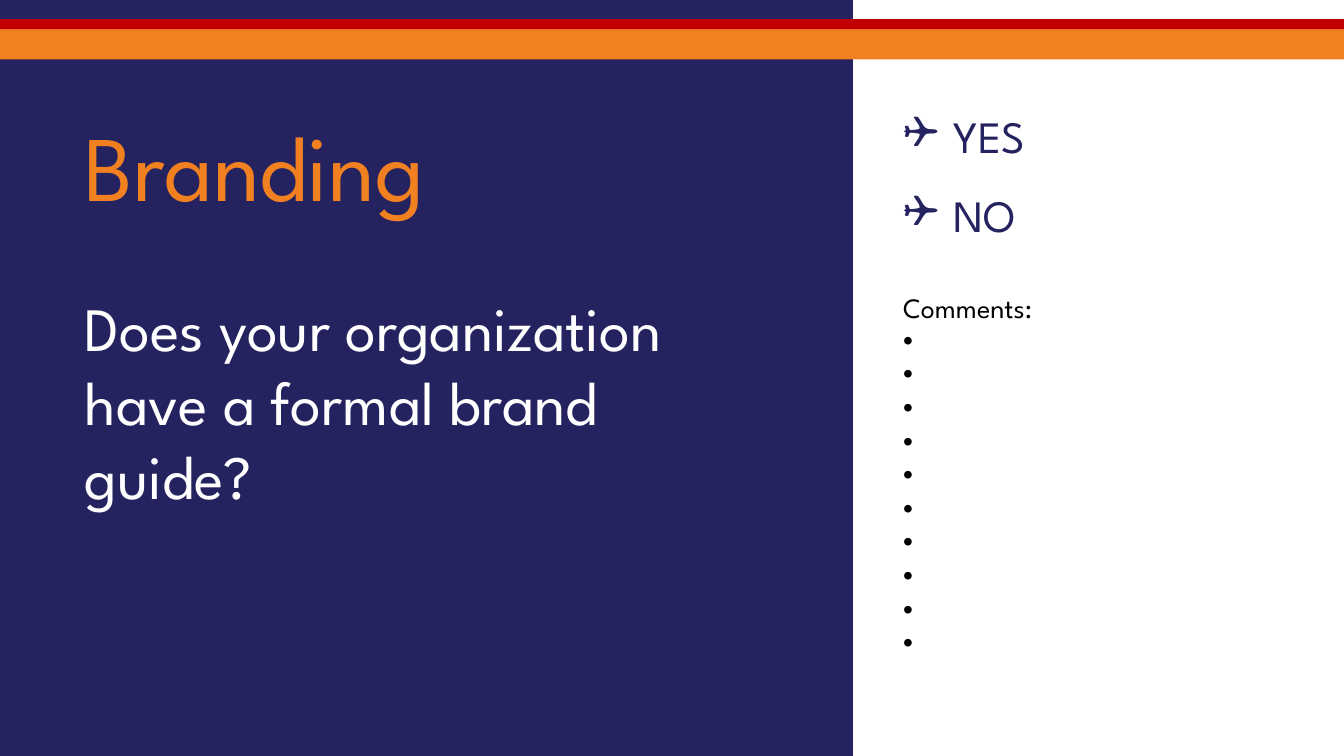
import pptx
import pptx.dml.color
import pptx.enum.shapes
import pptx.enum.text
import pptx.oxml
import pptx.util
from dataclasses import dataclass
from pptx.util import Inches


@dataclass(frozen=True)
class Theme:
    font: str = "League Spartan"
    navy: str = "252260"
    orange: str = "F18120"
    red: str = "C00000"
    white: str = "FFFFFF"
    black: str = "000000"
    title: int = 66
    question: int = 44
    answer: int = 32
    comment: int = 20


THEME = Theme()
COMMENT_LINES = 10


def rgb(color):
    return pptx.dml.color.RGBColor.from_string(color)


def add_band(slide, left, top, width, height, color):
    """Add a plain filled rectangle without outline."""
    shape = slide.shapes.add_shape(
        pptx.enum.shapes.MSO_SHAPE.RECTANGLE,
        Inches(left), Inches(top), Inches(width), Inches(height))
    shape.shadow.inherit = False
    shape.fill.solid()
    shape.fill.fore_color.rgb = rgb(color)
    shape.line.fill.background()


def add_bullet(paragraph, character, font, indent):
    """Give a paragraph a bullet with a hanging indent."""
    properties = paragraph._p.get_or_add_pPr()
    properties.set("marL", str(Inches(indent)))
    properties.set("indent", str(-Inches(indent)))
    for tag, name, value in (("buFont", "typeface", font),
                             ("buChar", "char", character)):
        element = pptx.oxml.parse_xml(
            '<a:%s xmlns:a="http://schemas.openxmlformats.org/drawingml/2006/main"'
            ' %s="%s"/>' % (tag, name, value))
        properties.append(element)


def add_text(slide, left, top, width, height, lines, size, color, space_after=0):
    """Add a text box; each line is a text and its bullet settings or None."""
    box = slide.shapes.add_textbox(
        Inches(left), Inches(top), Inches(width), Inches(height))
    frame = box.text_frame
    frame.word_wrap = True
    frame.auto_size = pptx.enum.text.MSO_AUTO_SIZE.SHAPE_TO_FIT_TEXT
    font_format = {"name": THEME.font, "size": pptx.util.Pt(size)}
    for index, (text, bullet) in enumerate(lines):
        paragraph = frame.add_paragraph() if index else frame.paragraphs[0]
        paragraph.space_after = pptx.util.Pt(space_after)
        if bullet:
            add_bullet(paragraph, *bullet)
        run = paragraph.add_run()
        run.text = text
        for name, value in font_format.items():
            setattr(run.font, name, value)
        run.font.color.rgb = rgb(color)


def main():
    presentation = pptx.Presentation()
    presentation.slide_width = Inches(13.33)
    presentation.slide_height = Inches(7.5)
    slide = presentation.slides.add_slide(presentation.slide_layouts[6])

    # Question panel and header stripes
    add_band(slide, 0, 0, 8.46, 7.5, THEME.navy)
    add_band(slide, 0, 0.24, 13.33, 0.35, THEME.orange)
    add_band(slide, 0, 0.19, 13.33, 0.1, THEME.red)

    # Topic and question
    question = "Does your organization have a formal brand guide?"
    add_text(slide, 0.74, 2.83, 7.02, 2.32, [(question, None)],
             THEME.question, THEME.white, 18)
    add_text(slide, 0.74, 1.03, 7.28, 1.21, [("Branding", None)],
             THEME.title, THEME.orange)

    # Comment list, with a blank entry beside each bullet
    dot = ("•", "Arial", 0.31)
    comments = [("Comments:", None)] + [(" ", dot)] * COMMENT_LINES
    add_text(slide, 8.86, 2.83, 4.31, 3.8, comments,
             THEME.comment, THEME.black)

    # Answer check boxes
    check_box = ("❑", "Wingdings", 0.5)
    answers = [(answer, check_box) for answer in ("YES", "NO")]
    add_text(slide, 8.86, 1.03, 3.97, 1.43, answers,
             THEME.answer, THEME.navy, 18)

    presentation.save("out.pptx")


if __name__ == "__main__":
    main()
